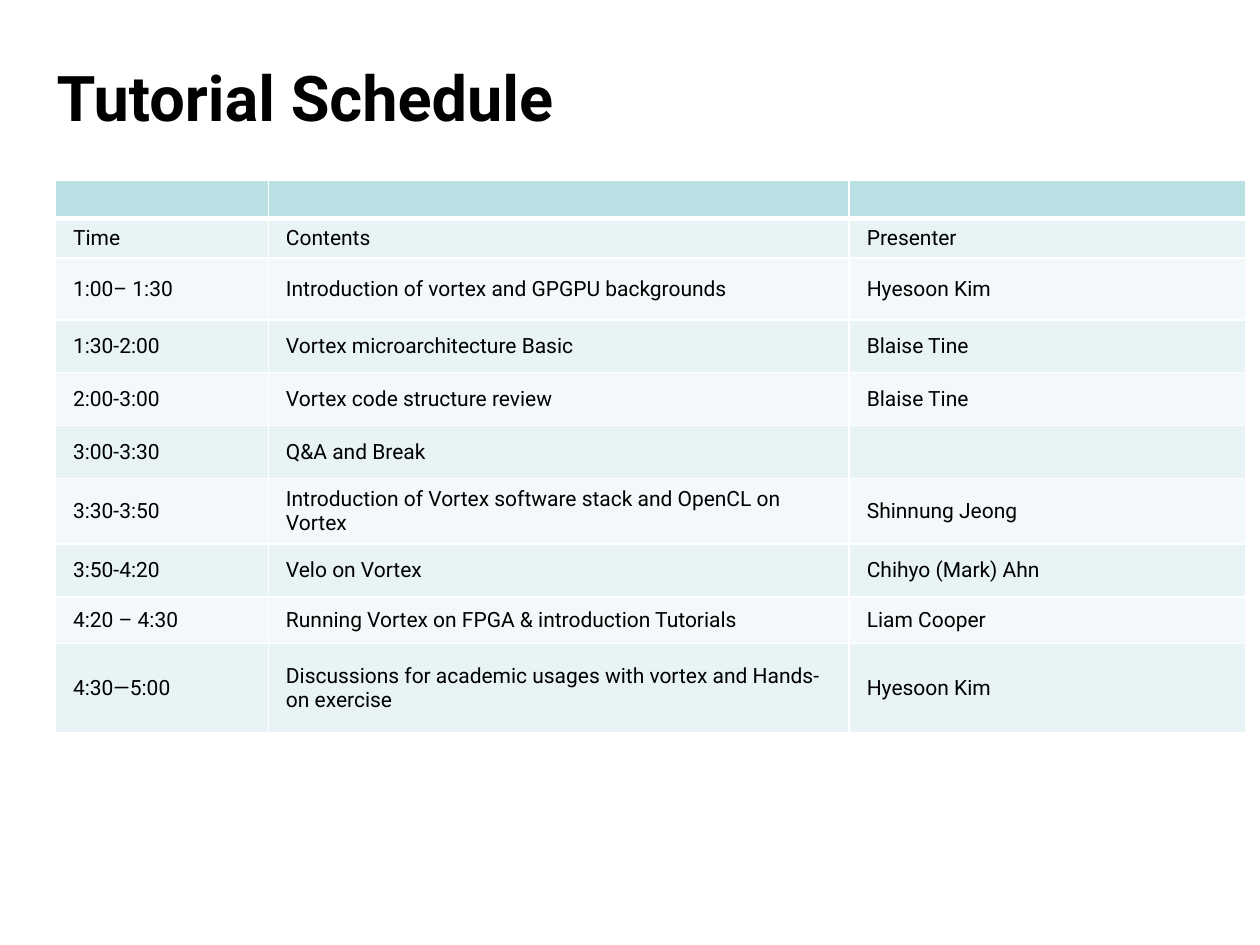
import pptx
import pptx.dml.color
import pptx.enum.text
import pptx.oxml.ns
import pptx.util
from lxml import etree

# Content
TITLE = "Tutorial Schedule"
SCHEDULE = [
    ("", "", ""),
    ("Time", "Contents", "Presenter"),
    ("1:00– 1:30", "Introduction of vortex and GPGPU backgrounds", "Hyesoon Kim"),
    ("1:30-2:00", "Vortex microarchitecture Basic", "Blaise Tine"),
    ("2:00-3:00", "Vortex code structure review", "Blaise Tine"),
    ("3:00-3:30", "Q&A and Break", ""),
    ("3:30-3:50", "Introduction of Vortex software stack and OpenCL on Vortex",
     "Shinnung Jeong"),
    ("3:50-4:20", "Velo on Vortex", "Chihyo (Mark) Ahn"),
    ("4:20 – 4:30", "Running Vortex on FPGA & introduction Tutorials", "Liam Cooper"),
    ("4:30—5:00", "Discussions for academic usages with vortex and Hands-on exercise",
     "Hyesoon Kim"),
]

# Grid and style
COLUMN_WIDTHS = [1.69, 4.61, 3.15]
ROW_HEIGHTS = [0.29, 0.31, 0.49, 0.42, 0.42, 0.42, 0.52, 0.42, 0.37, 0.71]
FONT = "Roboto"
BLACK, WHITE, HEADER = "000000", "FFFFFF", "BBE0E3"
BANDS = ["F3F9FA", "E7F3F4"]
TEXT_SIZE = 12
inches = pptx.util.Inches
MIDDLE = pptx.enum.text.MSO_ANCHOR.MIDDLE


def color(value):
    return pptx.dml.color.RGBColor.from_string(value)


def format_font(font, size, bold=False):
    font.name, font.size, font.bold = FONT, pptx.util.Pt(size), bold
    font.color.rgb = color(BLACK)


def set_borders(cell, widths):
    properties = cell._tc.get_or_add_tcPr()
    for position, (side, width) in enumerate(widths.items()):
        line = etree.Element(pptx.oxml.ns.qn(f"a:ln{side}"), w=str(pptx.util.Pt(width)))
        fill = etree.SubElement(line, pptx.oxml.ns.qn("a:solidFill"))
        etree.SubElement(fill, pptx.oxml.ns.qn("a:srgbClr"), val=WHITE)
        properties.insert(position, line)


def fill_cell(cell, text, row):
    cell.fill.solid()
    cell.fill.fore_color.rgb = color(BANDS[row % 2] if row else HEADER)
    # The rule below the header row is heavier
    set_borders(cell, {"L": 1, "R": 1, "T": 3 if row == 1 else 1, "B": 1 if row else 3})
    para = cell.text_frame.paragraphs[0]
    if text:
        cell.vertical_anchor = MIDDLE
        cell.margin_left = cell.margin_right = inches(0.14)
        cell.margin_top = cell.margin_bottom = inches(0.06)
        para.text = text
        format_font(para.runs[0].font, TEXT_SIZE)
    else:
        # Keep an empty cell from growing its row
        etree.SubElement(para._p, pptx.oxml.ns.qn("a:endParaRPr"), sz=str(TEXT_SIZE * 100))


deck = pptx.Presentation()
deck.slide_width, deck.slide_height = inches(10), inches(7.5)
page = deck.slides.add_slide(deck.slide_layouts[5])

# Title
title = page.shapes.title
title.left, title.top, title.width, title.height = map(inches, (0.35, 0.35, 9, 0.83))
title.text_frame.text = TITLE
title.text_frame.vertical_anchor = MIDDLE
heading = title.text_frame.paragraphs[0]
heading.alignment = pptx.enum.text.PP_ALIGN.LEFT
format_font(heading.runs[0].font, 36, bold=True)

# Schedule table
frame = page.shapes.add_table(
    len(SCHEDULE), len(COLUMN_WIDTHS), inches(0.44), inches(1.43),
    inches(sum(COLUMN_WIDTHS)), inches(sum(ROW_HEIGHTS)))
table = frame.table
for column, width in zip(table.columns, COLUMN_WIDTHS):
    column.width = inches(width)
for row, (entries, height) in enumerate(zip(SCHEDULE, ROW_HEIGHTS)):
    table.rows[row].height = inches(height)
    for column, text in enumerate(entries):
        fill_cell(table.cell(row, column), text, row)

deck.save("out.pptx")
